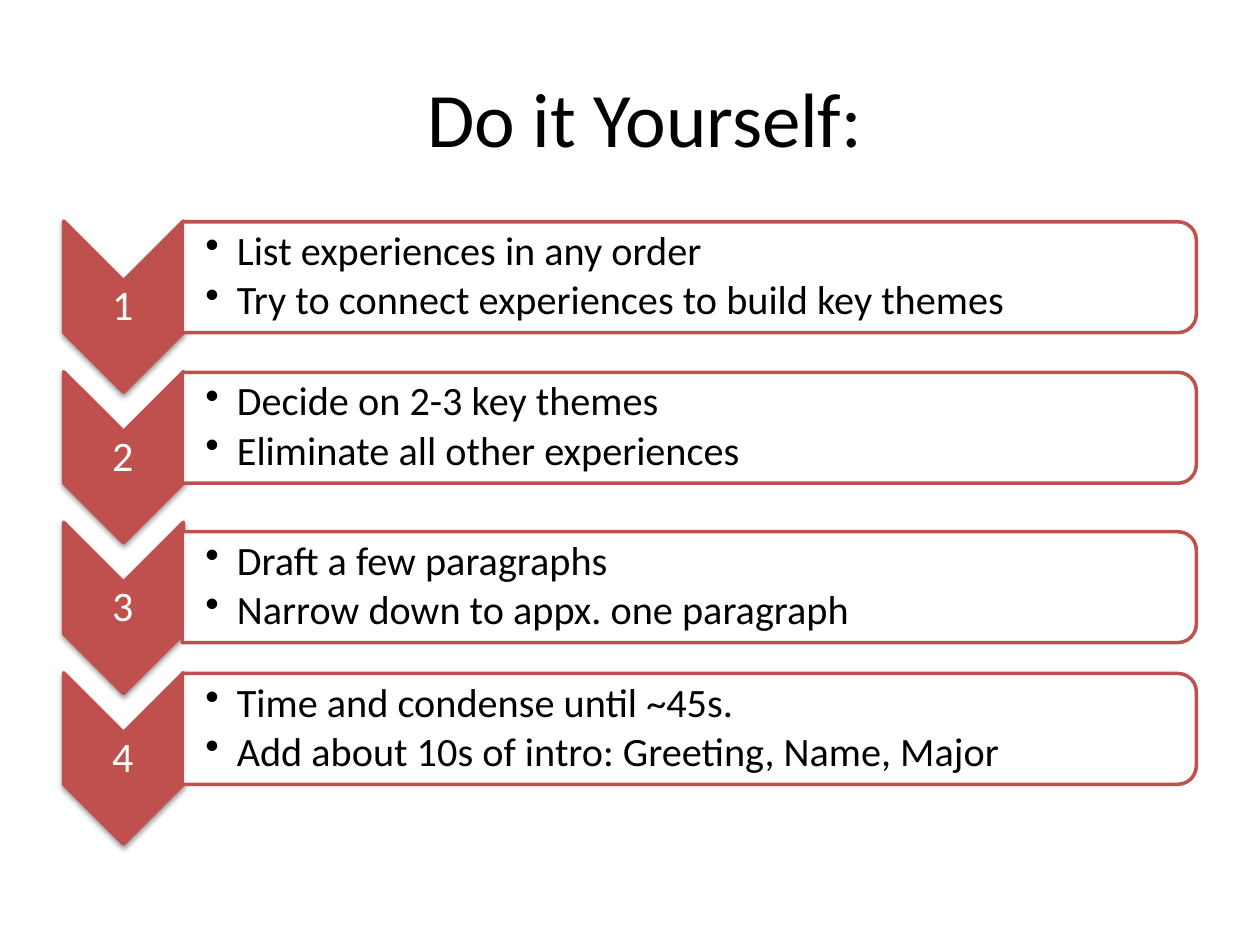
"""Build the four-step 'Do it Yourself' slide with numbered chevrons and bulleted panels."""
from lxml import etree
from pptx import Presentation
from pptx import util as u
from pptx.dml.color import RGBColor
from pptx.enum import shapes, text
from pptx.oxml import parse_xml
from pptx.oxml.ns import nsdecls, qn

COLORS = {"accent": "C0504D", "panel": "FFFFFF", "number": "FFFFFF", "ink": "000000"}
FONT = "Calibri"
STEPS = [
    ("List experiences in any order", "Try to connect experiences to build key themes"),
    ("Decide on 2-3 key themes", "Eliminate all other experiences"),
    ("Draft a few paragraphs", "Narrow down to appx. one paragraph"),
    ("Time and condense until ~45s.", "Add about 10s of intro: Greeting, Name, Major"),
]
FIRST_ROW, ROW_PITCH = 2.2, 1.195
PANEL_DROP = {3: 0.07}
CHEVRON_X, PANEL_X = 0.98, 5.47

deck = Presentation()
deck.slide_width, deck.slide_height = u.Inches(10), u.Inches(7.5)
slide = deck.slides.add_slide(deck.slide_layouts[5])


def add_turned(preset, center_x, center_y, width, height, fill):
    """Add an accent-outlined shape turned a quarter clockwise about its centre."""
    shape = slide.shapes.add_shape(
        preset, u.Inches(center_x - width / 2), u.Inches(center_y - height / 2),
        u.Inches(width), u.Inches(height))
    shape.rotation = 90
    shape.shadow.inherit = False
    shape.fill.solid()
    shape.fill.fore_color.rgb = RGBColor.from_string(COLORS[fill])
    shape.line.color.rgb = RGBColor.from_string(COLORS["accent"])
    shape.line.width = u.Pt(2)
    return shape


def add_lines(left, center_y, width, height, inset, lines, size, color):
    """Add a middle-anchored text box and return its paragraphs."""
    frame = slide.shapes.add_textbox(
        u.Inches(left), u.Inches(center_y - height / 2),
        u.Inches(width), u.Inches(height)).text_frame
    frame.word_wrap = True
    frame.vertical_anchor = text.MSO_ANCHOR.MIDDLE
    frame.margin_left = u.Inches(inset)
    frame.margin_top = frame.margin_right = frame.margin_bottom = u.Inches(0.02)
    frame.text = "\n".join(lines)
    for line in frame.paragraphs:
        line.line_spacing = 0.9
        line.font.name, line.font.size = FONT, u.Pt(size)
        line.font.color.rgb = RGBColor.from_string(COLORS[color])
    return frame.paragraphs


title = slide.shapes.title
title.left, title.top = u.Inches(0.5), u.Inches(0.3)
title.width, title.height = u.Inches(9), u.Inches(1.25)
title.text_frame.text = "Do it Yourself:"
title.text_frame.margin_left = u.Inches(0.34)
title.text_frame.vertical_anchor = text.MSO_ANCHOR.MIDDLE
heading = title.text_frame.paragraphs[0]
heading.alignment = text.PP_ALIGN.CENTER
heading.font.name, heading.font.size = FONT, u.Pt(44)
heading.font.color.rgb = RGBColor.from_string(COLORS["ink"])

for number, actions in enumerate(STEPS, start=1):
    row_y = FIRST_ROW + (number - 1) * ROW_PITCH
    panel_y = row_y + PANEL_DROP.get(number, 0)

    chevron = add_turned(shapes.MSO_SHAPE.CHEVRON, CHEVRON_X, row_y + 0.235, 1.36, 0.95, "accent")
    effects = chevron.element.spPr.find(qn("a:effectLst"))
    effects.append(parse_xml(
        f'<a:outerShdw {nsdecls("a")} blurRad="{u.Pt(3.1)}" dist="{u.Pt(1.6)}" dir="5400000" '
        f'rotWithShape="0"><a:srgbClr val="{COLORS["ink"]}"><a:alpha val="38000"/></a:srgbClr>'
        '</a:outerShdw>'))
    label = add_lines(0.5, row_y + 0.235, 0.95, 0.41, 0.02, [str(number)], 24, "number")[0]
    label.alignment = text.PP_ALIGN.CENTER

    panel = add_turned(shapes.MSO_SHAPE.ROUND_2_SAME_RECTANGLE, PANEL_X, panel_y, 0.88, 8.05, "panel")
    panel_color = panel.element.spPr.find(qn("a:solidFill"))[0]
    etree.SubElement(panel_color, qn("a:alpha"), val="90000")
    for action in add_lines(1.45, panel_y, 8.01, 0.8, 0.18, actions, 23, "ink"):
        action.level = 1
        action.space_after = u.Pt(3.45)
        bullet = action._p.get_or_add_pPr()
        bullet.set("marL", str(u.Inches(0.25)))
        bullet.set("indent", str(-u.Inches(0.25)))
        bullet.insert_element_before(
            parse_xml(f'<a:buChar {nsdecls("a")} char="•"/>'), "a:tabLst", "a:defRPr", "a:extLst")

deck.save("out.pptx")
